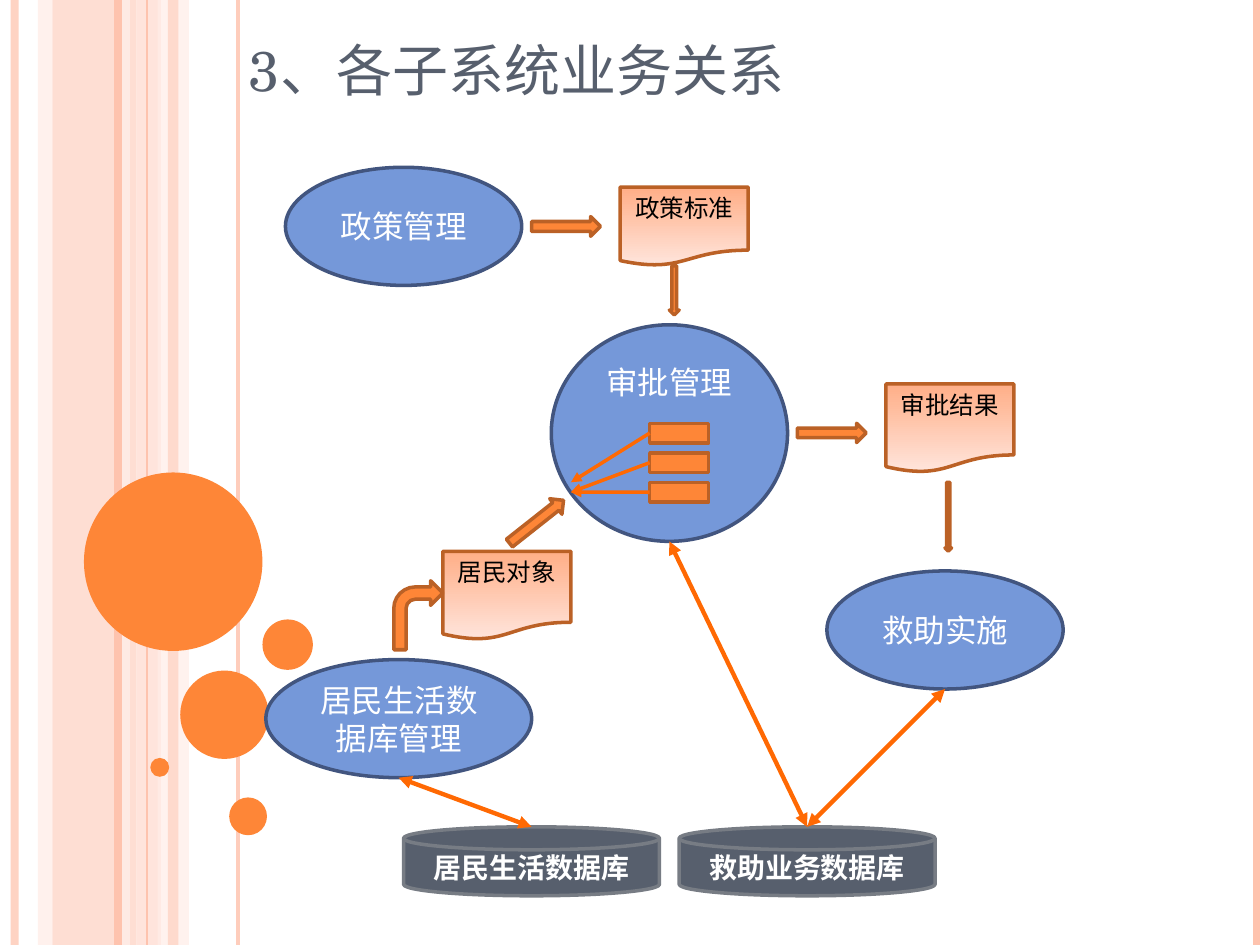
from lxml.etree import SubElement
from pptx import Presentation
from pptx.dml.color import RGBColor
from pptx.enum.shapes import MSO_CONNECTOR as Conn, MSO_SHAPE as Shape
from pptx.enum.text import MSO_ANCHOR as Anchor, MSO_AUTO_SIZE as AutoSize, PP_ALIGN as Align
from pptx.oxml.ns import qn
from pptx.util import Pt

FONT = "TeX Gyre Schola"
WHITE = RGBColor(0xFF, 0xFF, 0xFF)
BLACK = RGBColor(0, 0, 0)
SLATE = RGBColor(0x57, 0x5F, 0x6D)
SLATE_EDGE = RGBColor(0x77, 0x7C, 0x84)
BLUE = RGBColor(0x75, 0x98, 0xD9)
BLUE_EDGE = RGBColor(0x42, 0x55, 0x7F)
ORANGE = RGBColor(0xFE, 0x86, 0x37)
ORANGE_EDGE = RGBColor(0xBB, 0x61, 0x26)
LINK = RGBColor(0xFF, 0x69, 0x03)
PAPER_TOP = RGBColor(0xFF, 0xAE, 0x87)
PAPER_BOTTOM = RGBColor(0xFF, 0xE5, 0xDC)
PEACH = RGBColor(0xFE, 0xC3, 0xAE)
PALE = RGBColor(0xFF, 0xD9, 0xCE)
FAINT = RGBColor(0xFF, 0xED, 0xE8)

WIDTH, HEIGHT = 720, 540


def set_opacity(sp, percent):
    color = next(sp._element.spPr.iter(qn("a:srgbClr")))
    SubElement(color, qn("a:alpha")).set("val", str(percent * 1000))


def add_shape(slide, kind, box, fill=None, edge=None):
    sp = slide.shapes.add_shape(kind, *map(Pt, box))
    sp.shadow.inherit = False
    if fill is not None:
        sp.fill.solid()
        sp.fill.fore_color.rgb = fill
    if edge is None:
        sp.line.fill.background()
    else:
        sp.line.color.rgb = edge
        sp.line.width = Pt(2)
    return sp


def add_line(slide, start, end, color, width, heads=()):
    line = slide.shapes.add_connector(Conn.STRAIGHT, *map(Pt, (*start, *end)))
    line.line.color.rgb = color
    line.line.width = Pt(width)
    for head in heads:
        SubElement(line.line._get_or_add_ln(), qn(head)).set("type", "triangle")
    SubElement(line._element.spPr, qn("a:effectLst"))
    return line


def format_text(sp, text, size, color, align=Align.CENTER, anchor=Anchor.MIDDLE, bold=False):
    tf = sp.text_frame
    tf.word_wrap = True
    tf.vertical_anchor = anchor
    tf.text = text
    p = tf.paragraphs[0]
    p.alignment = align
    font = p.runs[0].font
    font.name, font.size, font.bold = FONT, Pt(size), bold
    font.color.rgb = color


def add_process(slide, text, box, anchor=Anchor.MIDDLE):
    sp = add_shape(slide, Shape.OVAL, box, BLUE, BLUE_EDGE)
    format_text(sp, text, 18, WHITE, anchor=anchor)


def add_document(slide, text, box):
    sp = add_shape(slide, Shape.FLOWCHART_DOCUMENT, box, edge=ORANGE_EDGE)
    sp.fill.gradient()
    sp.fill.gradient_angle = 270
    for stop, color in zip(sp.fill.gradient_stops, (PAPER_TOP, PAPER_BOTTOM)):
        stop.color.rgb = color
    format_text(sp, text, 14, BLACK, anchor=Anchor.TOP)


def add_database(slide, text, left):
    box = (left, 472.5, 146.25, 39.4)
    sp = add_shape(slide, Shape.FLOWCHART_MAGNETIC_DISK, box, SLATE, SLATE_EDGE)
    format_text(sp, text, 16, WHITE, bold=True)


def add_backdrop(slide):
    # Translucent bands: left, width, colour, opacity
    for left, width, color, opacity in (
        (30, 48, PEACH, 54), (21.6, 8.2, PALE, 36),
        (78, 14, PALE, 70), (90, 18, FAINT, 71),
    ):
        set_opacity(add_shape(slide, Shape.RECTANGLE, (left, 0, width, HEIGHT), color), opacity)
    # Vertical rules: x, colour, width, opacity
    for x, color, width, opacity in (
        (8.4, PEACH, 4.5, 73), (72, FAINT, 4.5, 83), (67.2, PEACH, 4.5, 100),
        (136, PEACH, 2.25, 82), (84, PEACH, 0.75, 100), (718, PEACH, 4.5, 100),
    ):
        set_opacity(add_line(slide, (x, 0), (x, HEIGHT), color, width), opacity)
    set_opacity(add_shape(slide, Shape.RECTANGLE, (96, 0, 6, HEIGHT), PEACH), 51)
    # Orange bubbles: left, top, diameter
    for left, top, size in ((48, 270, 102), (103, 383.2, 50.5), (85.9, 433.1, 10.8),
                            (131, 455.7, 21.6), (150, 354, 28.8)):
        add_shape(slide, Shape.OVAL, (left, top, size, size), ORANGE)


def add_title(slide):
    title = slide.shapes.title
    title.left, title.top, title.width, title.height = map(Pt, (135, 11.2, 402, 51))
    format_text(title, "3、各子系统业务关系", 32, SLATE, Align.LEFT, Anchor.BOTTOM)
    title.text_frame.auto_size = AutoSize.NONE


def add_approval_steps(slide):
    tops = [241.9 + 16.9 * i for i in range(3)]
    for top in tops:
        add_shape(slide, Shape.RECTANGLE, (371.25, top, 33.75, 11.25), ORANGE, ORANGE_EDGE)
    for top, target in zip(tops, (275.6, 281.25, 281.25)):
        add_line(slide, (371.25, top + 5.6), (326.25, target), LINK, 2, ["a:tailEnd"])


def add_block_arrows(slide):
    for kind, box, angle in (
        (Shape.RIGHT_ARROW, (303.75, 123.75, 39.4, 11.25), 0),
        (Shape.DOWN_ARROW, (382.5, 151.9, 5.6, 28.1), 0),
        (Shape.RIGHT_ARROW, (455.6, 241.9, 39.4, 11), 0),
        (Shape.DOWN_ARROW, (540, 275.6, 3.8, 39.4), 0),
        (Shape.BENT_ARROW, (225, 331.9, 28.1, 39.4), 0),
        (Shape.RIGHT_ARROW, (286.9, 292.5, 39.4, 11.25), 321.7),
    ):
        add_shape(slide, kind, box, ORANGE, ORANGE_EDGE).rotation = angle


def main():
    prs = Presentation()
    prs.slide_width, prs.slide_height = Pt(WIDTH), Pt(HEIGHT)
    slide = prs.slides.add_slide(prs.slide_layouts[5])
    add_backdrop(slide)
    add_title(slide)

    # Databases
    add_database(slide, "居民生活数据库", 230.6)
    add_database(slide, "救助业务数据库", 388.1)

    # Subsystems
    add_process(slide, "政策管理", (163.1, 95.6, 135, 67.5))
    add_process(slide, "审批管理", (315, 185.6, 135, 123.75), Anchor.TOP)
    add_process(slide, "居民生活数据库管理", (151.9, 376.9, 151.9, 67.5))
    add_process(slide, "救助实施", (472.5, 326.25, 135, 67.5))
    add_approval_steps(slide)

    # Documents passed between subsystems
    add_document(slide, "居民对象", (253.1, 315, 73.1, 50.6))
    add_document(slide, "政策标准", (354.4, 106.9, 73.1, 45))
    add_document(slide, "审批结果", (506.25, 219.4, 73.1, 50.6))
    add_block_arrows(slide)

    # Two-way database links
    for start, end in (((382.5, 309.4), (461.25, 472.5)),
                       ((540, 393.75), (461.25, 472.5)),
                       ((227.8, 444.4), (303.75, 472.5))):
        add_line(slide, start, end, LINK, 2.5, ["a:headEnd", "a:tailEnd"])
    prs.save("out.pptx")


if __name__ == "__main__":
    main()
